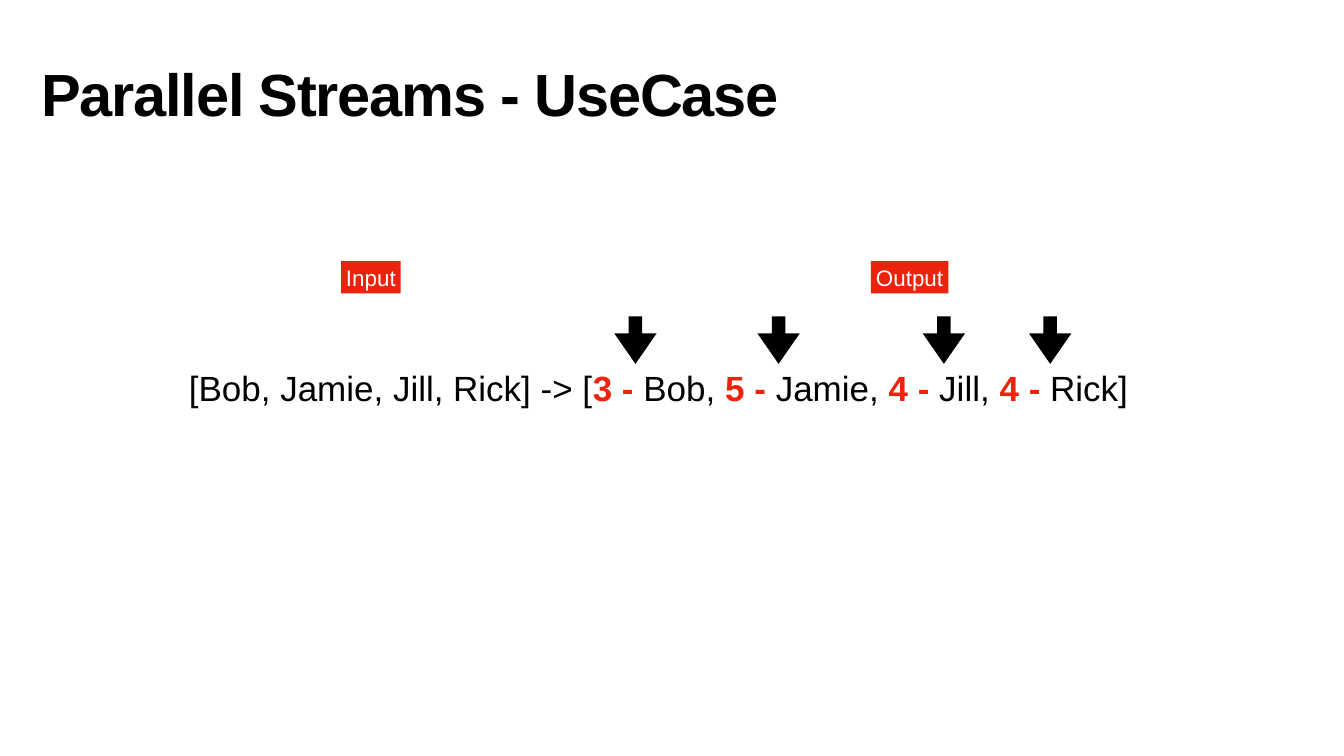
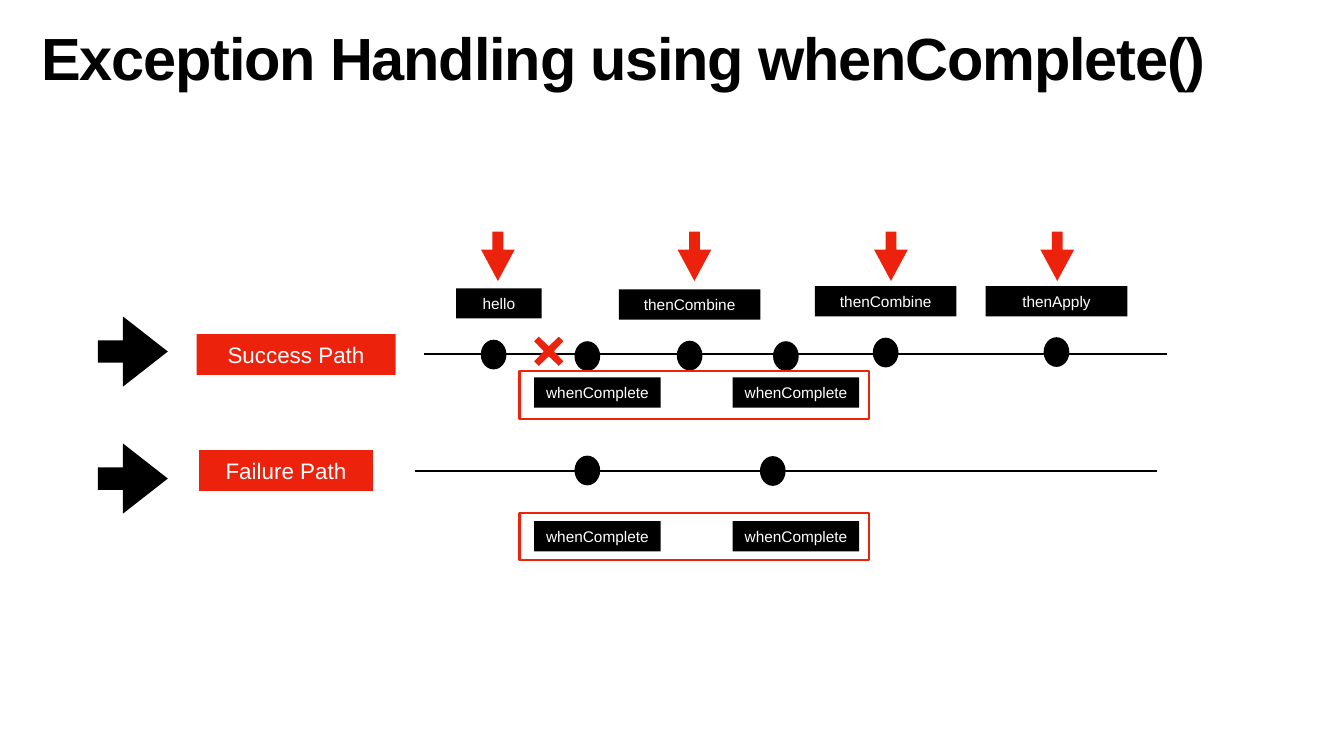
"""Build two slides on parallel streams and exception handling."""
from dataclasses import dataclass
from typing import Any, Optional

from lxml.etree import SubElement
from pptx import Presentation
from pptx.dml.color import RGBColor
from pptx.enum.shapes import MSO_CONNECTOR, MSO_SHAPE
from pptx.enum.text import MSO_ANCHOR, MSO_AUTO_SIZE, PP_ALIGN
from pptx.oxml.ns import qn
from pptx.util import Inches, Pt

BLACK = RGBColor(0x00, 0x00, 0x00)
WHITE = RGBColor(0xFF, 0xFF, 0xFF)
RED = RGBColor(0xED, 0x22, 0x0D)
ACCENT_RED = RGBColor(0xEE, 0x23, 0x0C)

INSET = Inches(0.06)
FRAME_FORMAT = {
    "margin_left": INSET, "margin_top": INSET,
    "margin_right": INSET, "margin_bottom": INSET,
    "vertical_anchor": MSO_ANCHOR.MIDDLE, "word_wrap": True,
}
TITLE_FRAME = FRAME_FORMAT | {"vertical_anchor": MSO_ANCHOR.TOP}
FITTED_FRAME = FRAME_FORMAT | {
    "word_wrap": False, "auto_size": MSO_AUTO_SIZE.SHAPE_TO_FIT_TEXT}
TITLE_FONT = {"name": "Arial", "size": Pt(85), "bold": True}
EXAMPLE_FONT = {"name": "Arial", "size": Pt(50)}
LABEL_FONT = {"name": "Arial", "size": Pt(32)}
STAGE_FONT = {"name": "Arial", "size": Pt(22)}


@dataclass(frozen=True)
class Box:
    """Position and size in inches."""
    left: float
    top: float
    width: float
    height: float

    def lengths(self) -> tuple:
        """Return the four values as lengths."""
        return tuple(Inches(value) for value in
                     (self.left, self.top, self.width, self.height))


@dataclass(frozen=True)
class Label:
    """A filled rectangle with centred white text."""
    text: str
    box: Box
    fill: RGBColor
    font: dict
    frame: dict


@dataclass(frozen=True)
class Arrow:
    """A block arrow with its turn and proportions."""
    box: Box
    fill: RGBColor
    head: float
    rotation: float = 90


def apply_format(target: Any, values: dict) -> None:
    """Set each attribute named in the format values."""
    for name, value in values.items():
        setattr(target, name, value)


def add_run(paragraph: Any, text: str, font: dict, colour: RGBColor) -> Any:
    """Append a formatted run."""
    run = paragraph.add_run()
    run.text = text
    apply_format(run.font, font)
    run.font.color.rgb = colour
    return run


def paint(shape: Any, fill: Optional[RGBColor],
          outline: Optional[RGBColor] = None) -> None:
    """Set fill and outline and drop the shadow."""
    shape.shadow.inherit = False
    if fill is None:
        shape.fill.background()
    else:
        shape.fill.solid()
        shape.fill.fore_color.rgb = fill
    if outline is None:
        shape.line.fill.background()
    else:
        shape.line.color.rgb = outline
        shape.line.width = Pt(3)


def add_title(slide: Any, text: str, top: float) -> None:
    """Write the slide title."""
    shape = slide.shapes.add_textbox(*Box(0.76, top, 25.54, 1.95).lengths())
    apply_format(shape.text_frame, TITLE_FRAME)
    paragraph = shape.text_frame.paragraphs[0]
    paragraph.line_spacing = 0.8
    run = add_run(paragraph, text, TITLE_FONT, BLACK)
    run.font._element.set("spc", "-170")


def add_label(slide: Any, label: Label) -> None:
    """Draw a label."""
    shape = slide.shapes.add_shape(MSO_SHAPE.RECTANGLE, *label.box.lengths())
    paint(shape, label.fill)
    apply_format(shape.text_frame, label.frame)
    paragraph = shape.text_frame.paragraphs[0]
    paragraph.alignment = PP_ALIGN.CENTER
    add_run(paragraph, label.text, label.font, WHITE)


def add_arrow(slide: Any, arrow: Arrow) -> None:
    """Draw a block arrow."""
    shape = slide.shapes.add_shape(MSO_SHAPE.RIGHT_ARROW, *arrow.box.lengths())
    paint(shape, arrow.fill)
    shape.adjustments[0] = 0.32
    shape.adjustments[1] = arrow.head
    shape.rotation = arrow.rotation


def add_timeline(slide: Any, left: float, right: float, y: float) -> None:
    """Draw a horizontal path line."""
    connector = slide.shapes.add_connector(
        MSO_CONNECTOR.STRAIGHT, Inches(left), Inches(y), Inches(right), Inches(y))
    connector.line.color.rgb = BLACK
    connector.line.width = Pt(3)
    SubElement(connector._element.spPr, qn("a:effectLst"))


def add_cross(slide: Any, x: float, y: float) -> None:
    """Draw the failure cross around its centre."""
    arm = [(0, -0.1), (0.2, -0.29), (0.29, -0.2)]
    points = []
    for _ in range(4):
        points += [(Inches(x + dx), Inches(y + dy)) for dx, dy in arm]
        arm = [(-dy, dx) for dx, dy in arm]
    builder = slide.shapes.build_freeform(*points[0])
    builder.add_line_segments(points[1:], close=True)
    paint(builder.convert_to_shape(), RED)


def build_use_case(slide: Any) -> None:
    """Show names mapped to length and name."""
    add_title(slide, "Parallel Streams - UseCase", 1.35)
    example = slide.shapes.add_textbox(*Box(3.69, 7.28, 19.69, 0.94).lengths())
    apply_format(example.text_frame, FITTED_FRAME)
    paragraph = example.text_frame.paragraphs[0]
    apply_format(paragraph, {"line_spacing": 0.9, "space_before": Pt(45)})
    parts = ("[Bob, Jamie, Jill, Rick] -> [", "3 -", " Bob, ", "5 -",
             " Jamie, ", "4 -", " Jill, ", "4 -", " Rick]")
    for index, text in enumerate(parts):
        is_length = index % 2 == 1
        add_run(paragraph, text, EXAMPLE_FONT | {"bold": is_length},
                ACCENT_RED if is_length else BLACK)
    for text, left, width in (("Input", 6.77, 1.18), ("Output", 17.28, 1.54)):
        add_label(slide, Label(text, Box(left, 5.18, width, 0.64), RED,
                               LABEL_FONT, FITTED_FRAME))
    for left in (12.14, 14.98, 18.26, 20.37):
        add_arrow(slide, Arrow(Box(left, 6.33, 0.94, 0.84), BLACK, 0.72))


def build_exception_handling(slide: Any) -> None:
    """Show the success and failure paths of whenComplete."""
    add_title(slide, "Exception Handling using whenComplete()", 0.64)
    add_timeline(slide, 8.42, 23.16, 7.03)
    add_timeline(slide, 8.23, 22.96, 9.34)

    for text, box in (("Success Path", Box(3.9, 6.63, 3.95, 0.81)),
                      ("Failure Path", Box(3.95, 8.93, 3.45, 0.81))):
        add_label(slide, Label(text, box, RED, LABEL_FONT, FRAME_FORMAT))
    for top in (6.28, 8.8):
        add_arrow(slide, Arrow(Box(1.94, top, 1.39, 1.39), BLACK, 0.64, 0))

    dots = ((9.54, 6.74), (11.4, 6.77), (13.43, 6.76), (15.34, 6.77),
            (17.32, 6.7), (20.71, 6.69), (11.4, 9.04), (15.08, 9.05))
    for left, top in dots:
        dot = slide.shapes.add_shape(
            MSO_SHAPE.OVAL, *Box(left, top, 0.51, 0.59).lengths())
        paint(dot, BLACK)

    stages = [("hello", 9.05, 5.72, 1.7), ("thenCombine", 12.28, 5.74, 2.81),
              ("thenCombine", 16.17, 5.68, 2.81), ("thenApply", 19.56, 5.68, 2.81)]
    stages += [("whenComplete", left, top, 2.51)
               for top in (7.49, 10.34) for left in (10.6, 14.54)]
    for text, left, top, width in stages:
        add_label(slide, Label(text, Box(left, top, width, 0.6), BLACK,
                               STAGE_FONT, FRAME_FORMAT))

    for top in (7.36, 10.17):
        frame = slide.shapes.add_shape(
            MSO_SHAPE.RECTANGLE, *Box(10.31, top, 6.94, 0.95).lengths())
        paint(frame, None, ACCENT_RED)
    for left in (9.39, 13.29, 17.19, 20.49):
        add_arrow(slide, Arrow(Box(left, 4.75, 0.98, 0.67), RED, 0.93))
    add_cross(slide, 10.89, 6.97)


def main() -> None:
    """Build and save the presentation."""
    presentation = Presentation()
    presentation.slide_width = Inches(26.67)
    presentation.slide_height = Inches(15)
    blank_layout = presentation.slide_layouts[6]
    for build in (build_use_case, build_exception_handling):
        build(presentation.slides.add_slide(blank_layout))
    presentation.save("out.pptx")


if __name__ == "__main__":
    main()
